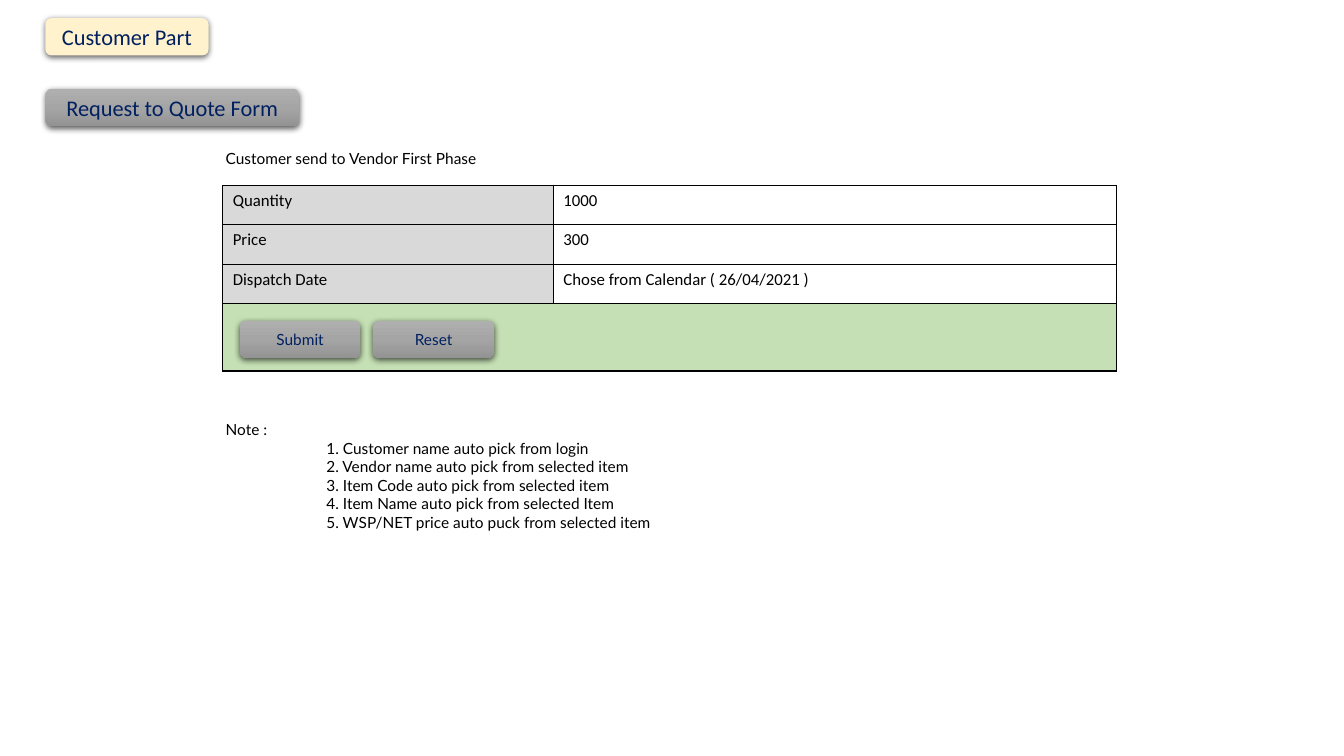
from pptx import Presentation, util as u
from pptx.dml.color import RGBColor
from pptx.enum import shapes, text
from pptx.oxml import parse_xml
from pptx.oxml.ns import qn

Pt = u.Pt
NS = 'xmlns:a="http://schemas.openxmlformats.org/drawingml/2006/main"'
COLORS = {"black": "000000", "navy": "002060", "label": "D9D9D9",
          "action": "C5E0B4", "cream": "FFF2CC"}
GREY = [(0, "AFAFAF"), (50, "A5A5A5"), (100, "939393")]


def rgb(name):
    return RGBColor.from_string(COLORS[name])


def write(tf, content, font="Lato", size=11, color="black", align=None, indent=0):
    for i, line in enumerate(content.split("\n")):
        p = tf.paragraphs[0] if i == 0 else tf.add_paragraph()
        p.alignment = align
        if i and indent:
            p._p.get_or_add_pPr().set("marL", str(Pt(indent)))
        r = p.add_run()
        r.text = line
        r.font.name = font
        r.font.size = Pt(size)
        r.font.color.rgb = rgb(color)


class Form:
    def __init__(self, prs):
        self.s = prs.slides.add_slide(prs.slide_layouts[6])

    def button(self, x, y, w, label, fill=None, **fmt):
        sp = self.s.shapes.add_shape(shapes.MSO_SHAPE.ROUNDED_RECTANGLE,
                                     Pt(x), Pt(y), Pt(w), Pt(26.6))
        if fill:
            sp.fill.solid()
            sp.fill.fore_color.rgb = rgb(fill)
        else:
            self.shade(sp)
        sp.line.fill.background()
        self.drop_shadow(sp)
        tf = sp.text_frame
        tf.word_wrap = True
        tf.vertical_anchor = text.MSO_ANCHOR.MIDDLE
        write(tf, label, color="navy", align=text.PP_ALIGN.CENTER, **fmt)

    def shade(self, sp):
        sp.fill.gradient()
        sp.fill.gradient_angle = 270
        stops = sp._element.spPr.find(".//" + qn("a:gsLst"))
        for gs in list(stops):
            stops.remove(gs)
        for pos, color in GREY:
            stops.append(parse_xml(f'<a:gs {NS} pos="{pos * 1000}">'
                                   f'<a:srgbClr val="{color}"/></a:gs>'))

    def drop_shadow(self, sp):
        sp.shadow.inherit = False
        sp._element.spPr.find(qn("a:effectLst")).append(parse_xml(
            f'<a:outerShdw {NS} blurRad="{Pt(4.5)}" dist="{Pt(1.5)}" dir="5400000" '
            'algn="ctr" rotWithShape="0"><a:srgbClr val="000000">'
            '<a:alpha val="63000"/></a:srgbClr></a:outerShdw>'))

    def label(self, x, y, w, h, content, **fmt):
        tf = self.s.shapes.add_textbox(Pt(x), Pt(y), Pt(w), Pt(h)).text_frame
        tf.word_wrap = True
        write(tf, content, **fmt)

    def table(self, x, y, widths, heights, rows):
        tbl = self.s.shapes.add_table(len(heights), len(widths), Pt(x), Pt(y),
                                      Pt(sum(widths)), Pt(sum(heights))).table
        tbl.first_row = tbl.horz_banding = False
        for col, w in zip(tbl.columns, widths):
            col.width = Pt(w)
        for row, h in zip(tbl.rows, heights):
            row.height = Pt(h)
        for cell in tbl.iter_cells():
            self.border(cell)
            cell.fill.background()
        for i, row in enumerate(rows):
            for j, value in enumerate(row):
                write(tbl.cell(i, j).text_frame, value, font="Calibri", size=12)
            self.paint(tbl.cell(i, 0), "label")
        last = tbl.cell(len(rows), 0)
        last.merge(tbl.cell(len(rows), len(widths) - 1))
        self.paint(last, "action")

    def paint(self, cell, color):
        cell.fill.solid()
        cell.fill.fore_color.rgb = rgb(color)

    def border(self, cell):
        tcPr = cell._tc.get_or_add_tcPr()
        for i, side in enumerate("LRTB"):
            tcPr.insert(i, parse_xml(
                f'<a:ln{side} {NS} w="{Pt(1)}"><a:solidFill><a:srgbClr '
                f'val="{COLORS["black"]}"/></a:solidFill></a:ln{side}>'))


prs = Presentation()
prs.slide_width, prs.slide_height = Pt(960), Pt(540)
form = Form(prs)
form.table(159.1, 132.5, [236.2, 402.5], [28.1] * 3 + [48.2],
           [("Quantity", "1000"), ("Price", "300"),
            ("Dispatch Date", "Chose from Calendar ( 26/04/2021 )")])
for i, name in enumerate(["Submit", "Reset"]):
    form.button(171.2 + 95.4 * i, 229, 86.4, name)
form.label(154.1, 103, 210, 20.6, "Customer send to Vendor First Phase")
form.label(154.1, 296.8, 340, 87.2, "Note :\n"
           "1. Customer name auto pick from login\n"
           "2. Vendor name auto pick from selected item\n"
           "3. Item Code auto pick from selected item\n"
           "4. Item Name auto pick from selected Item\n"
           "5. WSP/NET price auto puck from selected item", indent=72)
form.button(32.4, 63.4, 181.4, "Request to Quote Form", font="Calibri", size=16)
form.button(32.4, 13, 116.6, "Customer Part", fill="cream", font="Calibri", size=16)
prs.save("out.pptx")
